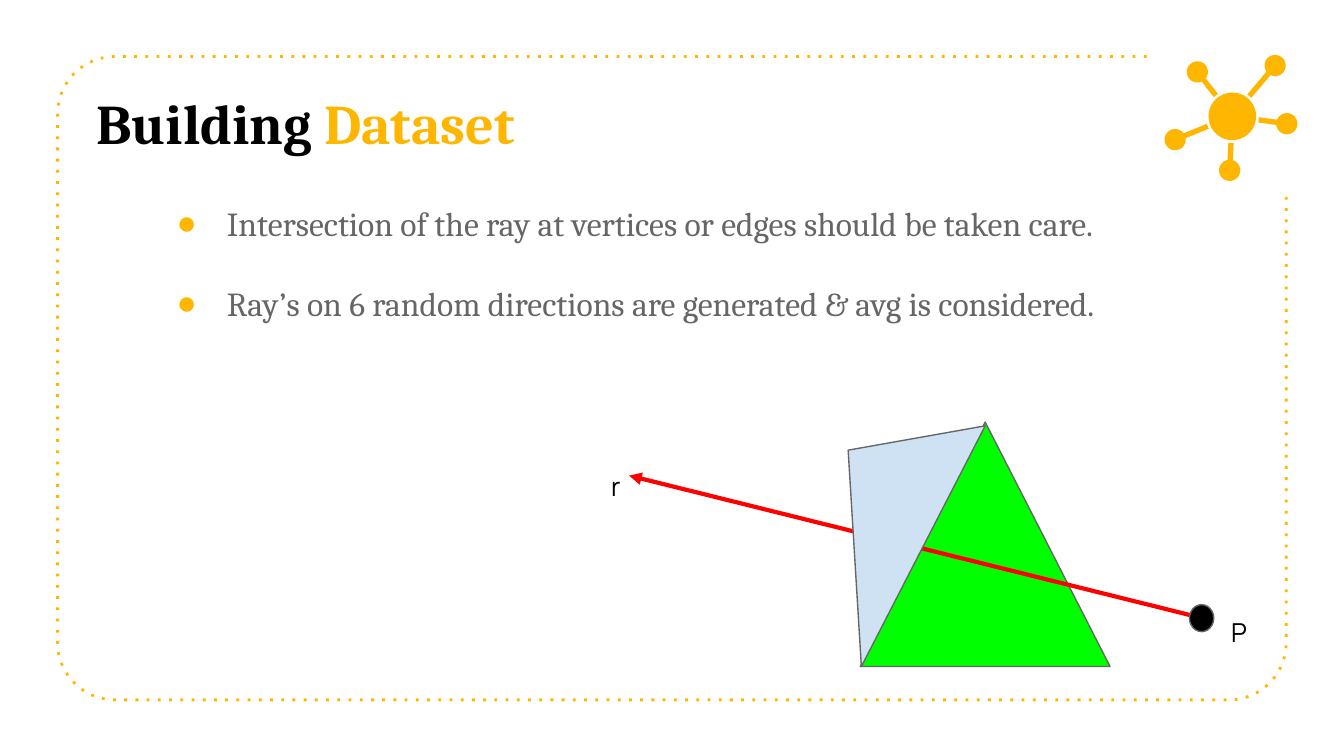
"""Build the "Building Dataset" slide about casting rays at a mesh."""
import math
from dataclasses import dataclass
from typing import NamedTuple, Optional

import lxml.etree
import pptx
import pptx.dml.color
import pptx.enum.shapes
import pptx.enum.text
import pptx.oxml.ns
import pptx.util

Cm = pptx.util.Cm
Pt = pptx.util.Pt
qn = pptx.oxml.ns.qn
SHAPE = pptx.enum.shapes.MSO_SHAPE


@dataclass(frozen=True)
class Theme:
    accent: str = "FFB600"
    ink: str = "000000"
    grey: str = "666666"
    front: str = "00FF00"
    side: str = "CFE2F3"
    ray: str = "FF0000"
    serif: str = "Cambria"
    sans: str = "Manrope"
    title_size: float = 30
    body_size: float = 18
    label_size: float = 14
    thin: float = 0.75
    dotted: float = 1.5
    thick: float = 2.25


class Point(NamedTuple):
    x: float
    y: float


class Box(NamedTuple):
    x: float
    y: float
    w: float
    h: float


class Label(NamedTuple):
    text: str
    box: Box


THEME = Theme()
FRAME = Box(1.09, 1.07, 23.22, 12.16)
FRAME_RADIUS = 1.08
FRAME_START = Point(21.67, 1.07)
FRAME_END = Point(24.31, 3.71)

HUB = Point(23.29, 2.2)
HUB_RADIUS, HUB_GAP = 0.45, 0.5
NODE_RADIUS, STEM_HALF = 0.2, 0.05
NODES = [Point(24.1, 1.24), Point(22.63, 1.36), Point(22.21, 2.64),
         Point(23.24, 3.22), Point(24.32, 2.34)]

TITLE = [("Building ", THEME.ink), ("Dataset", THEME.accent)]
BULLETS = ["Intersection of the ray at vertices or edges should be taken care.",
           "Ray’s on 6 random directions are generated & avg is considered."]
FRONT_FACE = Box(16.26, 7.98, 4.72, 4.62)
SIDE_FACE = [Point(18.62, 8.05), Point(16.28, 12.6), Point(16.03, 8.51)]
RAY_START, RAY_END = Point(22.91, 11.73), Point(11.89, 8.99)
SOURCE_DOT = Box(22.48, 11.43, 0.46, 0.51)
LABELS = [Label("P", Box(23.06, 11.4, 0.46, 0.51)),
          Label("r", Box(11.3, 8.64, 0.58, 0.51))]


def rgb(color: str) -> pptx.dml.color.RGBColor:
    return pptx.dml.color.RGBColor.from_string(color)


def lengths(box: Box) -> list:
    return [Cm(v) for v in box]


def arc(c: Point, radius: float, start: float, sweep: float, steps: int) -> list[Point]:
    angles = [start + sweep * i / steps for i in range(steps + 1)]
    return [Point(c.x + radius * math.cos(a), c.y + radius * math.sin(a)) for a in angles]


def paint(sp, fill: Optional[str], line: Optional[str] = None, width: float = 0) -> None:
    sp.shadow.inherit = False
    if fill:
        sp.fill.solid()
        sp.fill.fore_color.rgb = rgb(fill)
    else:
        sp.fill.background()
    if line:
        sp.line.color.rgb = rgb(line)
        sp.line.width = Pt(width)
    else:
        sp.line.fill.background()


def add_outline(shapes, points: list[Point], close: bool = True):
    emu = [(Cm(p.x), Cm(p.y)) for p in points]
    builder = shapes.build_freeform(*emu[0])
    builder.add_line_segments(emu[1:], close=close)
    return builder.convert_to_shape()


def add_line_detail(sp, tag: str, **attrs: str) -> None:
    lxml.etree.SubElement(sp._element.spPr.find(qn("a:ln")), qn(tag), attrs)


def style_run(r, font: str, size: float, color: str, bold: bool = False) -> None:
    r.font.name, r.font.size, r.font.bold = font, Pt(size), bold
    r.font.color.rgb = rgb(color)


def place_text(sp, box: Box):
    sp.left, sp.top, sp.width, sp.height = lengths(box)
    tf = sp.text_frame
    tf.auto_size = pptx.enum.text.MSO_AUTO_SIZE.NONE
    tf.vertical_anchor = pptx.enum.text.MSO_ANCHOR.TOP
    tf.word_wrap = True
    tf.margin_left = tf.margin_right = tf.margin_top = tf.margin_bottom = Cm(0.25)
    return tf


def add_frame(s) -> None:
    r = FRAME_RADIUS
    left, right = FRAME.x + r, FRAME.x + FRAME.w - r
    top, bottom = FRAME.y + r, FRAME.y + FRAME.h - r
    points = [FRAME_START]
    for corner, start in ((Point(left, top), 270), (Point(left, bottom), 180),
                          (Point(right, bottom), 90)):
        points += arc(corner, r, math.radians(start), -math.pi / 2, 15)
    sp = add_outline(s.shapes, points + [FRAME_END], close=False)
    paint(sp, None, THEME.accent, THEME.dotted)
    add_line_detail(sp, "a:prstDash", val="dot")


def add_icon(s) -> None:
    shapes = s.shapes.add_group_shape().shapes
    opening = math.asin(STEM_HALF / NODE_RADIUS)
    for node in NODES:
        a = math.atan2(HUB.y - node.y, HUB.x - node.x)
        end = Point(HUB.x - HUB_GAP * math.cos(a), HUB.y - HUB_GAP * math.sin(a))
        stem = arc(end, STEM_HALF, a - math.pi / 2, math.pi, 1)
        ring = arc(node, NODE_RADIUS, a + opening, 2 * (math.pi - opening), 40)
        paint(add_outline(shapes, ring + stem), THEME.accent)
    hub = Box(HUB.x - HUB_RADIUS, HUB.y - HUB_RADIUS, 2 * HUB_RADIUS, 2 * HUB_RADIUS)
    paint(shapes.add_shape(SHAPE.OVAL, *lengths(hub)), THEME.accent)


def fill_title(s) -> None:
    tf = place_text(s.shapes.title, Box(1.57, 1.42, 19.58, 2.16))
    p = tf.paragraphs[0]
    p.alignment = pptx.enum.text.PP_ALIGN.LEFT
    for text, color in TITLE:
        r = p.add_run()
        r.text = text
        style_run(r, THEME.serif, THEME.title_size, color, bold=True)


def fill_body(s) -> None:
    tf = place_text(s.placeholders[1], Box(2.77, 3.58, 19.58, 4.55))
    tf.text = "\n".join(BULLETS)
    for i, p in enumerate(tf.paragraphs):
        p.line_spacing = 1.0
        p.space_before = Pt(21.5 if i else 0)
        pPr = p._p.get_or_add_pPr()
        pPr.set("marL", str(Cm(1.27)))
        pPr.set("indent", str(-Cm(0.95)))
        bullet_color = lxml.etree.SubElement(pPr, qn("a:buClr"))
        lxml.etree.SubElement(bullet_color, qn("a:srgbClr"), val=THEME.accent)
        lxml.etree.SubElement(pPr, qn("a:buChar"), char="●")
        style_run(p.runs[0], THEME.serif, THEME.body_size, THEME.grey)


def add_diagram(s) -> None:
    front = s.shapes.add_shape(SHAPE.ISOSCELES_TRIANGLE, *lengths(FRONT_FACE))
    paint(front, THEME.front, THEME.grey, THEME.thin)
    ray = s.shapes.add_connector(pptx.enum.shapes.MSO_CONNECTOR.STRAIGHT,
                                 *[Cm(v) for v in RAY_START + RAY_END])
    ray.line.color.rgb = rgb(THEME.ray)
    ray.line.width = Pt(THEME.thick)
    add_line_detail(ray, "a:tailEnd", type="triangle")
    lxml.etree.SubElement(ray._element.spPr, qn("a:effectLst"))
    paint(add_outline(s.shapes, SIDE_FACE), THEME.side, THEME.grey, THEME.thin)
    dot = s.shapes.add_shape(SHAPE.FLOWCHART_CONNECTOR, *lengths(SOURCE_DOT))
    paint(dot, THEME.ink, THEME.grey, THEME.thin)
    for label in LABELS:
        tf = place_text(s.shapes.add_textbox(*lengths(label.box)), label.box)
        tf.text = label.text
        style_run(tf.paragraphs[0].runs[0], THEME.sans, THEME.label_size, THEME.ink)


def main() -> None:
    prs = pptx.Presentation()
    prs.slide_width, prs.slide_height = Cm(25.4), Cm(14.29)
    s = prs.slides.add_slide(prs.slide_layouts[1])
    for draw in (add_frame, add_icon, fill_body, add_diagram, fill_title):
        draw(s)
    prs.save("out.pptx")


if __name__ == "__main__":
    main()
